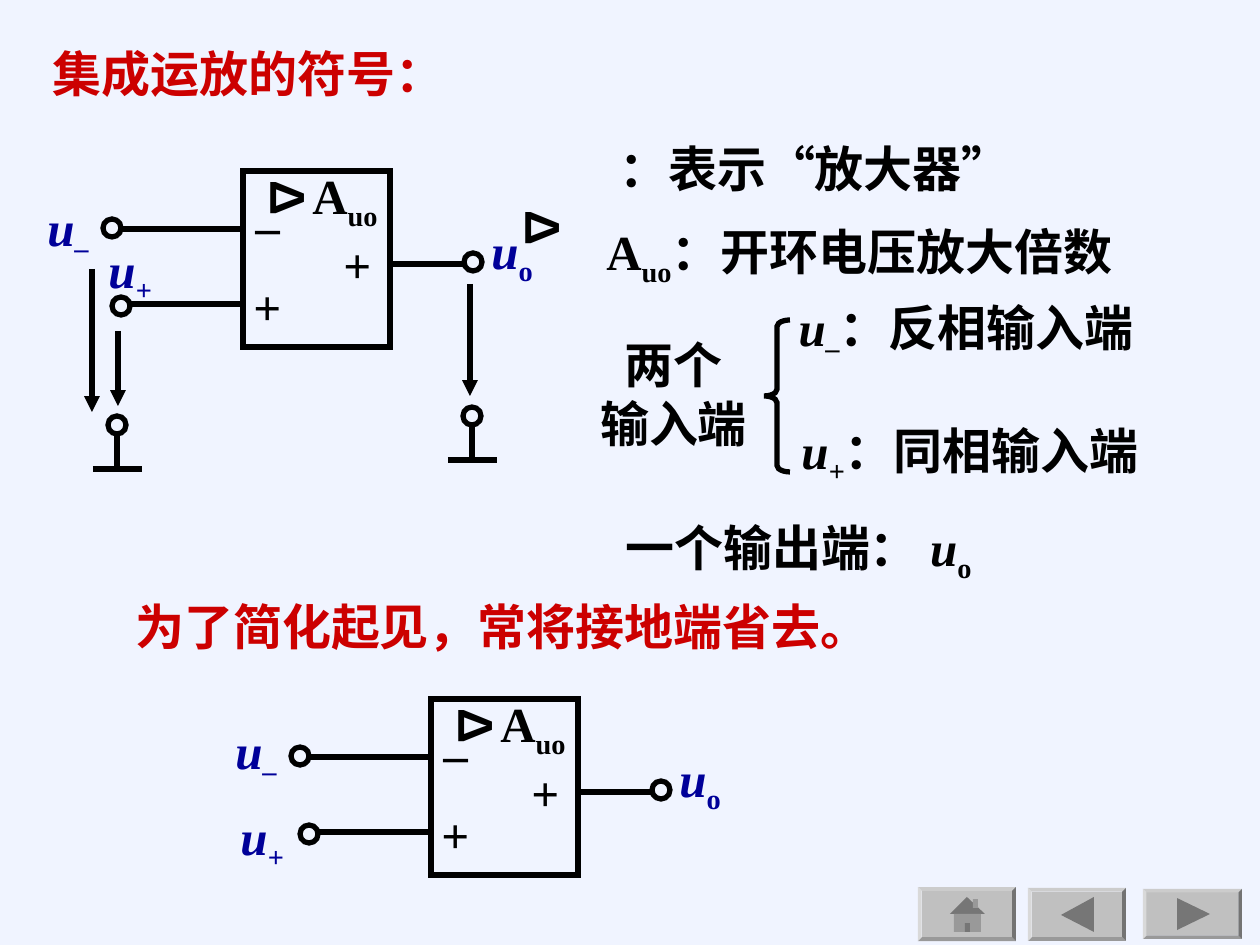
from dataclasses import dataclass

from lxml.etree import SubElement
from pptx import Presentation
from pptx.dml.color import RGBColor
from pptx.enum.shapes import MSO_CONNECTOR, MSO_SHAPE
from pptx.enum.text import MSO_ANCHOR, MSO_AUTO_SIZE, PP_ALIGN
from pptx.oxml.ns import qn
from pptx.util import Emu, Inches, Pt

PX = 914400 / 126
BLACK, RED, NAVY = "000000", "CC0000", "000099"
BUTTON, ICON, WALL = "C0C0C0", "767676", "999999"
SERIF, SANS = "Times New Roman", "Arial"


@dataclass(frozen=True)
class Run:
    text: str
    italic: bool = False
    sub: bool = False


@dataclass(frozen=True)
class Box:
    x: int
    y: int
    w: int
    h: int

    def emu(self) -> list[Emu]:
        return [px(n) for n in (self.x, self.y, self.w, self.h)]


@dataclass(frozen=True)
class Button:
    box: Box
    icon: tuple[tuple[int, int], ...]


GAIN = [Run("A"), Run("uo", sub=True)]
U_MINUS = [Run("u", True), Run("–", True, True)]
U_PLUS = [Run("u", True), Run("+", True, True)]
U_OUT = [Run("u", True), Run("o", sub=True)]

BUTTONS = [
    Button(Box(918, 887, 98, 54), ((967, 897), (985, 914), (950, 914))),
    Button(Box(1143, 889, 99, 50), ((1177, 898), (1210, 914), (1177, 930))),
    Button(Box(1028, 888, 98, 53), ((1061, 915), (1094, 897), (1094, 932))),
]


def px(n: float) -> Emu:
    return Emu(round(n * PX))


def rgb(color: str) -> RGBColor:
    return RGBColor.from_string(color)


def write(tf, *paragraphs: list[Run], color: str = BLACK, font: str = SERIF,
          align=PP_ALIGN.LEFT, wrap: bool = True) -> None:
    tf.word_wrap = wrap
    for i, runs in enumerate(paragraphs):
        p = tf.add_paragraph() if i else tf.paragraphs[0]
        p.alignment = align
        for run in runs:
            r = p.add_run()
            r.text = run.text
            r.font.name, r.font.size = font, Pt(28)
            r.font.bold, r.font.italic = True, run.italic
            r.font.color.rgb = rgb(color)
            if run.sub:
                r._r.get_or_add_rPr().set("baseline", "-25000")


def add_text(slide, box: Box, *paragraphs: list[Run], rotation: int = 0, **style) -> None:
    sp = slide.shapes.add_textbox(*box.emu())
    sp.rotation = rotation
    write(sp.text_frame, *paragraphs, **style)
    sp.text_frame.auto_size = MSO_AUTO_SIZE.SHAPE_TO_FIT_TEXT


def add_delta(slide, x: int, y: int) -> None:
    add_text(slide, Box(x, y, 55, 72), [Run("Δ")], rotation=90, font=SANS,
             align=PP_ALIGN.CENTER, wrap=False)


def add_outline(slide, kind, box: Box):
    sp = slide.shapes.add_shape(kind, *box.emu())
    sp.shadow.inherit = False
    sp.fill.background()
    sp.line.color.rgb, sp.line.width = rgb(BLACK), Pt(3)
    SubElement(sp.line._get_or_add_ln(), qn("a:miter"), lim="800000")
    return sp


def add_terminal(slide, x: int, y: int) -> None:
    add_outline(slide, MSO_SHAPE.OVAL, Box(x, y, 18, 18))


def add_line(slide, x1: int, y1: int, x2: int, y2: int, arrow: bool = False) -> None:
    s = slide.shapes.add_connector(MSO_CONNECTOR.STRAIGHT, px(x1), px(y1), px(x2), px(y2))
    s.line.color.rgb, s.line.width = rgb(BLACK), Pt(3)
    if arrow:
        SubElement(s.line._get_or_add_ln(), qn("a:tailEnd"), type="triangle")
    SubElement(s._element.spPr, qn("a:effectLst"))


def add_ground(slide, x: int, y: int) -> None:
    """Terminal whose centre line is x, with a stem and a bar below it."""
    add_terminal(slide, x - 9, y)
    add_line(slide, x, y + 18, x, y + 53)
    add_line(slide, x - 24, y + 53, x + 25, y + 53)


def add_amplifier(slide, x: int, y: int, plus_label: Box) -> None:
    """Op-amp symbol whose body has its top left corner at x, y."""
    def at(dx: int, dy: int, w: int, h: int = 72) -> Box:
        return Box(x + dx, y + dy, w, h)

    add_outline(slide, MSO_SHAPE.RECTANGLE, at(0, 0, 147, 176))
    add_text(slide, at(57, -12, 125, 79), GAIN)
    add_delta(slide, x + 19, y - 11)
    for dx, dy, sign in ((0, 18, "–"), (-2, 99, "+"), (88, 57, "+")):
        add_text(slide, at(dx, dy, 66), [Run(sign)])
    for dx, dy in ((-140, 48), (-131, 126), (221, 82)):
        add_terminal(slide, x + dx, y + dy)
    for x1, x2, dy in ((-124, 0, 58), (-115, 0, 133), (147, 220, 93)):
        add_line(slide, x + x1, y + dy, x + x2, y + dy)
    add_text(slide, plus_label, U_PLUS, color=NAVY)
    add_text(slide, at(236, 43, 93, 79), U_OUT, color=NAVY)


def add_polygon(slide, points, color: str) -> None:
    first, *rest = points
    builder = slide.shapes.build_freeform(*first, scale=PX)
    builder.add_line_segments(rest, close=True)
    paint(builder.convert_to_shape(), color)


def paint(sp, color: str) -> None:
    sp.shadow.inherit = False
    sp.fill.solid()
    sp.fill.fore_color.rgb = rgb(color)
    sp.line.fill.background()


def add_button(slide, button: Button) -> None:
    sp = slide.shapes.add_shape(MSO_SHAPE.BEVEL, *button.box.emu())
    sp.adjustments[0] = 0.07
    paint(sp, BUTTON)
    add_polygon(slide, button.icon, ICON)


def add_house_walls(slide) -> None:
    for box, color in ((Box(973, 899, 5, 9), WALL), (Box(954, 914, 27, 18), WALL),
                       (Box(965, 923, 5, 9), ICON)):
        paint(slide.shapes.add_shape(MSO_SHAPE.RECTANGLE, *box.emu()), color)


def add_explanations(slide) -> None:
    center = {"align": PP_ALIGN.CENTER, "wrap": False}
    add_delta(slide, 517, 190)
    add_text(slide, Box(602, 132, 426, 72), [Run("：表示“放大器”")], **center)
    add_text(slide, Box(594, 215, 556, 79), GAIN + [Run("：开环电压放大倍数")], wrap=False)
    add_text(slide, Box(583, 328, 181, 131), [Run("两个")], [Run("输入端")], **center)
    brace = add_outline(slide, MSO_SHAPE.LEFT_BRACE, Box(764, 320, 26, 152))
    brace.adjustments[0] = 0.25
    add_text(slide, Box(775, 291, 382, 79), U_MINUS + [Run("：反相输入端")], **center)
    add_text(slide, Box(778, 414, 384, 79), U_PLUS + [Run("：同相输入端")], **center)
    add_text(slide, Box(613, 511, 425, 79), [Run("一个输出端： ")] + U_OUT)
    add_text(slide, Box(123, 590, 833, 72), [Run("为了简化起见，常将接地端省去。")], color=RED)


def main() -> None:
    prs = Presentation()
    prs.slide_width, prs.slide_height = Inches(10), Inches(7.5)
    slide = prs.slides.add_slide(prs.slide_layouts[5])
    slide.background.fill.solid()
    slide.background.fill.fore_color.rgb = rgb("F0F4FF")

    title = slide.shapes.title
    title.left, title.top, title.width, title.height = Box(40, 34, 444, 77).emu()
    write(title.text_frame, [Run("集成运放的符号：")], color=RED, font=SANS)
    title.text_frame.vertical_anchor = MSO_ANCHOR.MIDDLE
    title.text_frame.auto_size = MSO_AUTO_SIZE.NONE

    add_amplifier(slide, 243, 171, Box(96, 233, 78, 79))
    for x, top, bottom in ((92, 269, 412), (118, 331, 406), (470, 284, 396)):
        add_line(slide, x, top, x, bottom, arrow=True)
    add_ground(slide, 117, 416)
    add_ground(slide, 472, 407)
    add_explanations(slide)
    add_amplifier(slide, 431, 699, Box(228, 800, 78, 79))
    for x, y in ((35, 191), (223, 714)):
        add_text(slide, Box(x, y, 84, 79), U_MINUS, color=NAVY)

    for button in BUTTONS:
        add_button(slide, button)
    add_house_walls(slide)
    prs.save("out.pptx")


if __name__ == "__main__":
    main()
